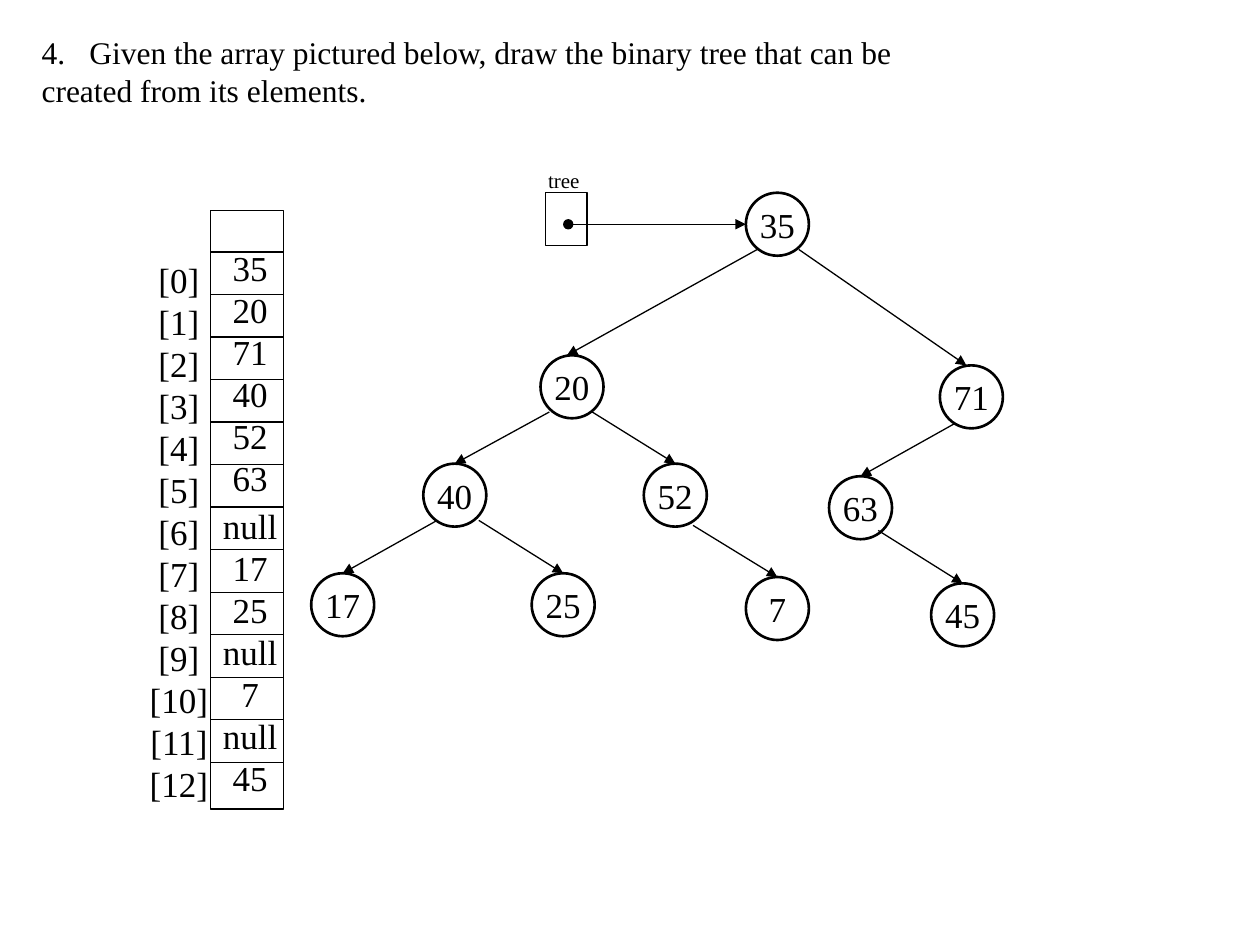
from dataclasses import dataclass

import lxml.etree
import pptx
import pptx.dml.color
import pptx.enum.shapes
import pptx.enum.text
import pptx.oxml.ns
import pptx.util

COLORS = {"ink": "000000"}
FONT = "Times New Roman"
COLUMNS, ROWS = 100, 75
INSET = pptx.util.Inches(0.05)
NODE_SIZE = 5
INDEXES = [f"[{number}]" for number in range(13)]
VALUES = ["35", "20", "71", "40", "52", "63", "null", "17", "25", "null", "7", "null", "45"]

Shapes = pptx.enum.shapes.MSO_SHAPE
Align = pptx.enum.text.PP_ALIGN
Anchor = pptx.enum.text.MSO_ANCHOR
AutoSize = pptx.enum.text.MSO_AUTO_SIZE

presentation = pptx.Presentation()
presentation.slide_width = pptx.util.Inches(10)
presentation.slide_height = pptx.util.Inches(7.5)
slide = presentation.slides.add_slide(presentation.slide_layouts[5])


@dataclass(frozen=True)
class Box:
    """Left, top, width and height in grid columns and rows."""
    left: float
    top: float
    width: float
    height: float


@dataclass(frozen=True)
class Node:
    """A tree node centred on a grid column and row."""
    label: str
    column: float
    row: float


@dataclass(frozen=True)
class Edge:
    """Leaves at an offset from the parent's centre, lands near the child's top."""
    parent: str
    child: str
    across: float
    down: float = 2
    landing: float = 0


ARRAY = Box(16.7, 16.7, 5.8, 47.5)
FIRST_DIVIDER, DIVIDER_STEP = 20, 3.375
NODES = [
    Node("35", 61.7, 17.8),
    Node("20", 45.4, 30.7), Node("71", 77.1, 31.5),
    Node("40", 36.1, 39.3), Node("52", 53.6, 39.3), Node("63", 68.3, 40.3),
    Node("17", 27.2, 48), Node("25", 44.7, 48), Node("7", 61.7, 48.3), Node("45", 76.4, 48.8),
]
EDGES = [
    Edge("35", "20", -1.6, landing=-0.4), Edge("35", "71", 1.7, landing=-0.4),
    Edge("20", "40", -1.8), Edge("20", "52", 1.6),
    Edge("71", "63", -1.3, 2.1),
    Edge("40", "17", -1.4), Edge("40", "25", 1.9),
    Edge("52", "7", 1.4, 2.4), Edge("63", "45", 1.4, 1.8),
]


def across(columns: float) -> int:
    return round(presentation.slide_width * columns / COLUMNS)


def down(rows: float) -> int:
    return round(presentation.slide_height * rows / ROWS)


def place(box: Box) -> tuple:
    return across(box.left), down(box.top), across(box.width), down(box.height)


def apply(target, values: dict) -> None:
    for name, value in values.items():
        setattr(target, name, value)


def ink() -> pptx.dml.color.RGBColor:
    return pptx.dml.color.RGBColor.from_string(COLORS["ink"])


def write(shape, lines: list, size: float, alignment, frame_values: dict) -> None:
    frame = shape.text_frame
    margins = dict.fromkeys(("margin_left", "margin_right", "margin_top", "margin_bottom"), INSET)
    apply(frame, {"text": "\n".join(lines), "word_wrap": False, **margins, **frame_values})
    for paragraph in frame.paragraphs:
        paragraph.alignment = alignment
        for run in paragraph.runs:
            apply(run.font, {"name": FONT, "size": pptx.util.Pt(size)})
            run.font.color.rgb = ink()


def add_text(box: Box, lines: list, size: float, alignment):
    shape = slide.shapes.add_textbox(*place(box))
    write(shape, lines, size, alignment, {"auto_size": AutoSize.SHAPE_TO_FIT_TEXT})
    return shape


def add_outline(kind, box: Box, width: float):
    shape = slide.shapes.add_shape(kind, *place(box))
    shape.shadow.inherit = False
    shape.fill.background()
    shape.line.color.rgb = ink()
    shape.line.width = pptx.util.Pt(width)
    return shape


def add_line(start: tuple, end: tuple, ends: dict):
    """Draw a line; ends maps headEnd or tailEnd to an arrowhead type."""
    line = slide.shapes.add_connector(
        pptx.enum.shapes.MSO_CONNECTOR.STRAIGHT,
        across(start[0]), down(start[1]), across(end[0]), down(end[1]))
    line.line.color.rgb = ink()
    line.line.width = pptx.util.Pt(0.75)
    properties = line._element.spPr
    outline = line.line._get_or_add_ln()
    for tag, kind in ends.items():
        lxml.etree.SubElement(outline, pptx.oxml.ns.qn(f"a:{tag}"), type=kind)
    lxml.etree.SubElement(properties, pptx.oxml.ns.qn("a:effectLst"))
    return line


def add_question() -> None:
    title = slide.shapes.title
    apply(title, dict(zip(("left", "top", "width", "height"), place(Box(2.8, 2.1, 68.6, 6.7)))))
    lines = ["Given the array pictured below, draw the binary tree that can be",
             "created from its elements."]
    write(title, lines, 18, Align.LEFT,
          {"auto_size": AutoSize.SHAPE_TO_FIT_TEXT, "vertical_anchor": Anchor.TOP})
    numbered = title.text_frame.paragraphs[0]._p.get_or_add_pPr()
    indent = pptx.util.Inches(0.38)
    numbered.set("marL", str(indent))
    numbered.set("indent", str(-indent))
    lxml.etree.SubElement(numbered, pptx.oxml.ns.qn("a:buAutoNum"),
                          type="arabicPeriod", startAt="4")


def add_array() -> None:
    add_outline(Shapes.RECTANGLE, ARRAY, 0.75)
    for number in range(len(VALUES)):
        row = FIRST_DIVIDER + number * DIVIDER_STEP
        add_line((ARRAY.left, row), (ARRAY.left + ARRAY.width, row), {})
    add_text(Box(11.3, 20, 5.8, 42.4), INDEXES, 20, Align.CENTER)
    values = add_text(Box(17.1, 19.1, 5.5, 42.7), VALUES, 20, Align.CENTER)
    first_null = values.text_frame.paragraphs[VALUES.index("null")]
    first_null.space_before = pptx.util.Pt(3)


def add_node(node: Node):
    half = NODE_SIZE / 2
    box = Box(node.column - half, node.row - half, NODE_SIZE, NODE_SIZE)
    shape = add_outline(Shapes.OVAL, box, 1.5)
    write(shape, [node.label], 20, Align.CENTER, {"vertical_anchor": Anchor.MIDDLE})
    return shape


def add_tree() -> None:
    nodes = {node.label: node for node in NODES}
    circles = {node.label: add_node(node) for node in NODES}
    for edge in EDGES:
        parent, child = nodes[edge.parent], nodes[edge.child]
        line = add_line((parent.column + edge.across, parent.row + edge.down),
                        (child.column + edge.landing, child.row - NODE_SIZE / 2),
                        {"tailEnd": "triangle"})
        if not edge.landing:
            line.end_connect(circles[edge.child], 0)

    root = NODES[0]
    add_outline(Shapes.RECTANGLE, Box(43.3, 15.3, 3.3, 4.2), 0.75)
    add_line((45.1, root.row), (root.column - NODE_SIZE / 2, root.row),
             {"headEnd": "oval", "tailEnd": "triangle"})
    add_text(Box(43, 12.8, 3.6, 3), ["tree"], 12, Align.LEFT)


def main() -> None:
    add_question()
    add_array()
    add_tree()
    presentation.save("out.pptx")


if __name__ == "__main__":
    main()
